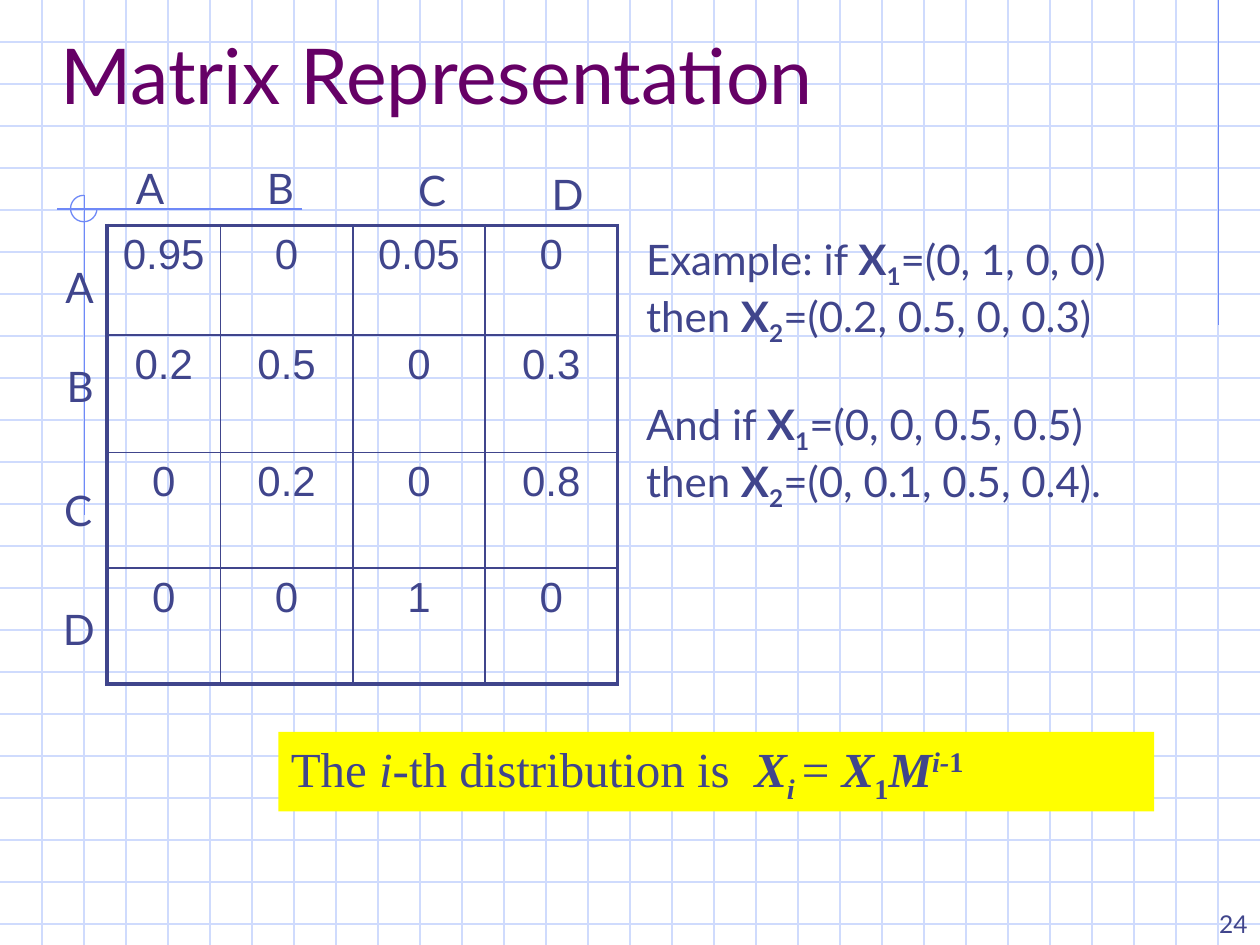
from lxml import etree
from pptx import Presentation
from pptx.dml.color import RGBColor
from pptx.enum.shapes import MSO_CONNECTOR, MSO_SHAPE
from pptx.enum.text import MSO_ANCHOR, PP_ALIGN
from pptx.oxml.ns import qn
from pptx.util import Inches, Pt

STRAIGHT = MSO_CONNECTOR.STRAIGHT
RECTANGLE, ARC = MSO_SHAPE.RECTANGLE, MSO_SHAPE.ARC
TOP, MIDDLE, BOTTOM = MSO_ANCHOR.TOP, MSO_ANCHOR.MIDDLE, MSO_ANCHOR.BOTTOM
LEFT, CENTER, RIGHT = PP_ALIGN.LEFT, PP_ALIGN.CENTER, PP_ALIGN.RIGHT

INK, TITLE, GRID, ACCENT, YELLOW = "40458C", "660066", "CFDBFD", "6F89F7", "FFFF00"
SANS, MATRIX_FONT, SERIF = "Lato", "Arial", "Times New Roman"

MATRIX = [
    ["0.95", "0", "0.05", "0"],
    ["0.2", "0.5", "0", "0.3"],
    ["0", "0.2", "0", "0.8"],
    ["0", "0", "1", "0"],
]
COLUMN_WIDTHS = [0.9, 1.05, 1.05, 1.05]
ROW_HEIGHTS = [0.87, 0.93, 0.92, 0.92]
COLUMN_LABELS = [("A", 0.98, 1.24), ("B", 2.02, 1.24), ("C", 3.22, 1.26), ("D", 4.28, 1.29)]
ROW_LABELS = [("A", 0.42, 2.03), ("B", 0.43, 2.81), ("C", 0.41, 3.8), ("D", 0.4, 4.74)]
BASELINES = {"_": "-25000", "^": "30000"}


def rgb(color):
    return RGBColor.from_string(color)


def add_line(s, x1, y1, x2, y2, color):
    line = s.shapes.add_connector(STRAIGHT, Inches(x1), Inches(y1), Inches(x2), Inches(y2))
    line.line.color.rgb = rgb(color)
    line.line.width = Pt(0.75)
    etree.SubElement(line._element.spPr, qn("a:effectLst"))


def add_run(p, text, style, size, font, color):
    r = p.add_run()
    r.text = text
    r.font.size = Pt(size)
    r.font.name = font
    r.font.color.rgb = rgb(color)
    r.font.bold = "b" in style
    r.font.italic = "i" in style
    for mark, baseline in BASELINES.items():
        if mark in style:
            r._r.get_or_add_rPr().set("baseline", baseline)


def fill_paragraph(p, runs, size, font=SANS, color=INK, align=LEFT):
    p.alignment = align
    for text, style in runs:
        add_run(p, text, style, size, font, color)


def add_text(s, x, y, w, h, text, size, color=INK, align=LEFT, anchor=TOP):
    tf = s.shapes.add_textbox(Inches(x), Inches(y), Inches(w), Inches(h)).text_frame
    tf.word_wrap = True
    tf.vertical_anchor = anchor
    fill_paragraph(tf.paragraphs[0], [(text, "")], size, color=color, align=align)
    return tf


def add_background(s):
    for i in range(1, 23):
        add_line(s, 0, i / 3, 10, i / 3, GRID)
    for i in range(1, 30):
        add_line(s, i / 3, 0, i / 3, 7.5, GRID)
    add_line(s, 9.67, 0, 9.67, 2.58, ACCENT)
    add_line(s, 2.4, 1.66, 0.45, 1.66, ACCENT)
    add_line(s, 0.67, 1.55, 0.67, 4.09, ACCENT)
    arc = s.shapes.add_shape(ARC, Inches(0.56), Inches(1.55), Inches(0.21), Inches(0.21))
    arc.adjustments[0] = 0
    arc.adjustments[1] = 162
    arc.shadow.inherit = False
    arc.fill.background()
    arc.line.color.rgb = rgb(ACCENT)
    arc.line.width = Pt(0.75)


def set_borders(cell, widths):
    tcPr = cell._tc.get_or_add_tcPr()
    for i, (side, width) in enumerate(widths.items()):
        ln = etree.Element(qn(f"a:ln{side}"), w=str(Pt(width)))
        fill = etree.SubElement(ln, qn("a:solidFill"))
        etree.SubElement(fill, qn("a:srgbClr"), val=INK)
        tcPr.insert(i, ln)


def add_matrix(s):
    last = len(MATRIX) - 1
    table = s.shapes.add_table(
        len(MATRIX), len(MATRIX[0]), Inches(0.85), Inches(1.79),
        Inches(sum(COLUMN_WIDTHS)), Inches(sum(ROW_HEIGHTS))).table
    table.first_row = False
    table.horz_banding = False
    for column, width in zip(table.columns, COLUMN_WIDTHS):
        column.width = Inches(width)
    for row, height in zip(table.rows, ROW_HEIGHTS):
        row.height = Inches(height)
    for i, values in enumerate(MATRIX):
        for j, value in enumerate(values):
            cell = table.cell(i, j)
            cell.fill.background()
            fill_paragraph(cell.text_frame.paragraphs[0], [(value, "")], 24, MATRIX_FONT, align=CENTER)
            edges = {"L": j == 0, "R": j == last, "T": i == 0, "B": i == last}
            set_borders(cell, {side: 2.25 if outer else 1 for side, outer in edges.items()})


def add_labels(s):
    for labels, align in ((COLUMN_LABELS, LEFT), (ROW_LABELS, CENTER)):
        for text, x, y in labels:
            add_text(s, x, y, 0.43 if text == "D" else 0.41, 0.5, text, 24, align=align)


def add_formula(s):
    box = s.shapes.add_shape(RECTANGLE, Inches(2.21), Inches(5.81), Inches(6.95), Inches(0.63))
    box.shadow.inherit = False
    box.fill.solid()
    box.fill.fore_color.rgb = rgb(YELLOW)
    box.line.fill.background()
    tf = box.text_frame
    tf.word_wrap = True
    tf.vertical_anchor = TOP
    runs = [("The ", ""), ("i", "i"), ("-th distribution is  ", ""), ("X", "bi"), ("i ", "bi_"),
            ("= ", ""), ("X", "bi"), ("1", "b_"), ("M", "bi"), ("i-", "bi^"), ("1", "b^")]
    fill_paragraph(tf.paragraphs[0], runs, 28, SERIF)


def add_examples(s):
    examples = [
        ("Example: if ", "1", "=(0, 1, 0, 0)"),
        ("then ", "2", "=(0.2, 0.5, 0, 0.3)"),
        ("And if ", "1", "=(0, 0, 0.5, 0.5)"),
        ("then ", "2", "=(0, 0.1, 0.5, 0.4)."),
    ]
    tf = s.shapes.add_textbox(Inches(5.03), Inches(1.8), Inches(4.1), Inches(2.32)).text_frame
    tf.word_wrap = True
    for i, (lead, index, vector) in enumerate(examples):
        p = tf.paragraphs[0] if i == 0 else tf.add_paragraph()
        if i == 2:
            p.space_before = Pt(28.8)
        fill_paragraph(p, [(lead, ""), ("X", "b"), (index, "b_"), (vector, "")], 24)


def main():
    prs = Presentation()
    prs.slide_width, prs.slide_height = Inches(10), Inches(7.5)
    s = prs.slides.add_slide(prs.slide_layouts[6])
    add_background(s)
    add_text(s, 9.54, 7.13, 0.46, 0.37, "24", 14, align=RIGHT, anchor=BOTTOM)
    add_text(s, 0.38, 0.17, 9.2, 0.83, "Matrix Representation", 44, TITLE, anchor=BOTTOM)
    add_matrix(s)
    add_labels(s)
    add_formula(s)
    add_examples(s)
    prs.save("out.pptx")


if __name__ == "__main__":
    main()
